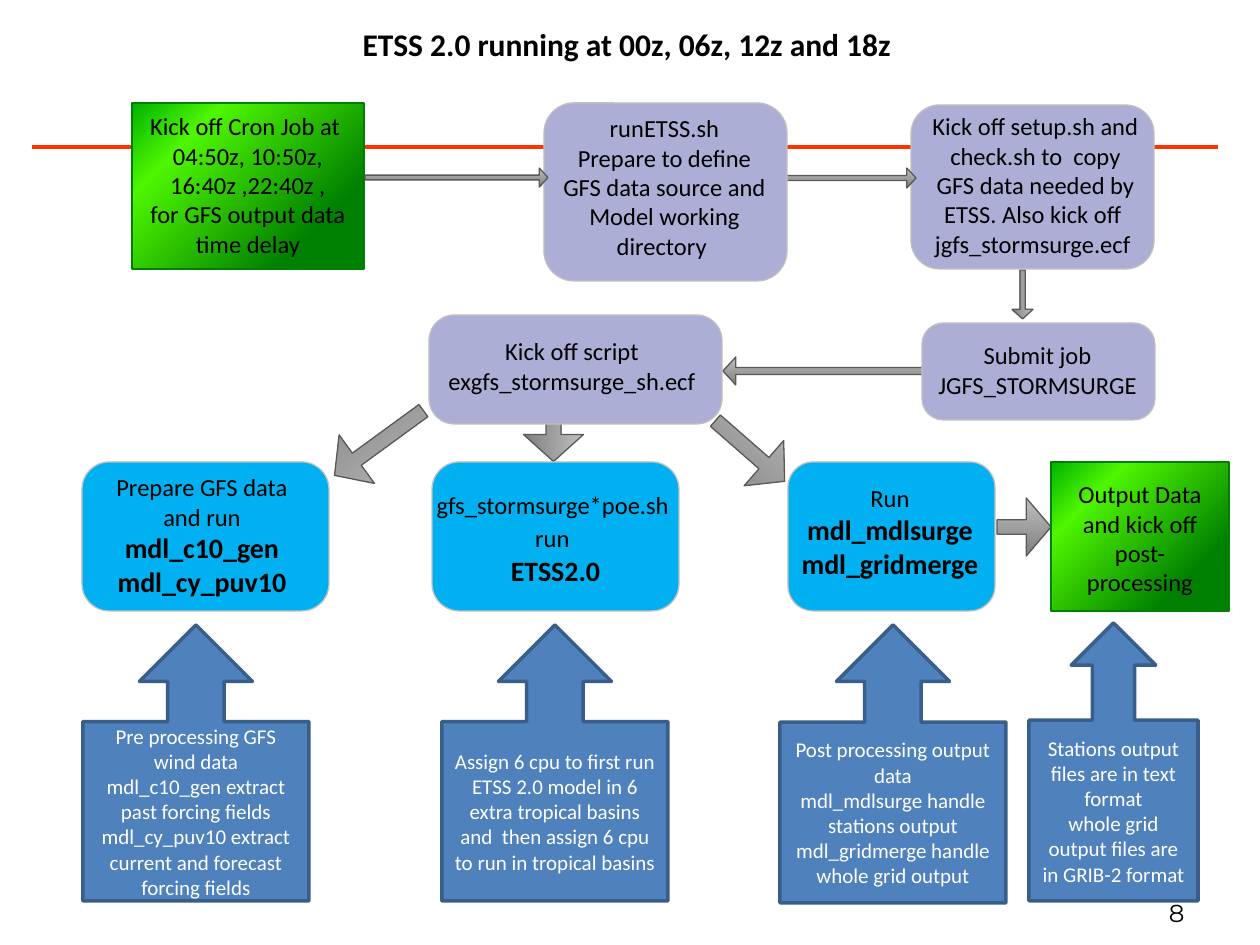
from lxml import etree
from pptx import Presentation
from pptx import util as u
from pptx.dml.color import RGBColor
from pptx.enum import shapes, text
from pptx.oxml.ns import qn

PX = 914400 / 126
COLORS = {
    "black": "000000", "white": "FFFFFF", "rule": "FF3300",
    "lilac": "ADAED6", "cyan": "00B0F0", "box_edge": "C0C0C0",
    "blue": "4F81BD", "blue_edge": "395E8A", "arrow_edge": "595959", "green_edge": "008000",
}
ARROW_GRADIENT = ([(0, "BFBFBF"), (100, "7F7F7F")], 270)
GREEN_GRADIENT = ([(0, "008000"), (22, "008000"), (77, "4FF600"), (100, "00B300")], 135)
KIND = shapes.MSO_SHAPE
CENTER, RIGHT = text.PP_ALIGN.CENTER, text.PP_ALIGN.RIGHT


def emu(*pixels):
    """Turn pixels into EMU."""
    return [u.Emu(round(p * PX)) for p in pixels]


def rgb(name):
    """Look up a palette colour."""
    return RGBColor.from_string(COLORS[name])


def set_values(target, values):
    """Set attributes from a dict of format values."""
    for key, value in values.items():
        setattr(target, key, value)


class FlowSlide:
    """Holds the style and the current slide."""

    frame_format = {"word_wrap": True, "auto_size": text.MSO_AUTO_SIZE.NONE}

    def __init__(self, slide):
        """Start drawing on a slide."""
        self.slide = slide

    def fill_text(self, frame, paragraphs, size=14, color="black", font="Calibri",
                  align=CENTER, anchor=text.MSO_ANCHOR.TOP, bold=False):
        """Fill a frame; a paragraph is a string or a list of (text, size, bold)."""
        set_values(frame, {**self.frame_format, "vertical_anchor": anchor})
        for i, runs in enumerate(paragraphs):
            paragraph = frame.paragraphs[0] if i == 0 else frame.add_paragraph()
            paragraph.alignment = align
            if isinstance(runs, str):
                runs = [(runs, size, bold)]
            for words, points, weight in runs:
                run = paragraph.add_run()
                run.text = words
                set_values(run.font, {"name": font, "size": u.Pt(points), "bold": weight})
                run.font.color.rgb = rgb(color)

    def title(self, at, words):
        """Place and format the title placeholder."""
        heading = self.slide.shapes.title
        set_values(heading, dict(zip(("left", "top", "width", "height"), emu(*at))))
        self.fill_text(heading.text_frame, [words], size=18, bold=True)

    def label(self, at, paragraphs, **style):
        """Add a text box."""
        self.fill_text(self.slide.shapes.add_textbox(*emu(*at)).text_frame, paragraphs, **style)

    def rule(self, x1, x2, y):
        """Add the horizontal rule."""
        line = self.slide.shapes.add_connector(
            shapes.MSO_CONNECTOR.STRAIGHT, *emu(x1, y, x2, y))
        line.line.color.rgb = rgb("rule")
        line.line.width = u.Pt(2)
        etree.SubElement(line._element.spPr, qn("a:effectLst"))

    def shape(self, kind, at, fill, edge, weight=0.75, adjust=(), rotation=0):
        """Add a preset shape with a solid or gradient fill."""
        item = self.slide.shapes.add_shape(kind, *emu(*at))
        item.shadow.inherit = False
        item.rotation = rotation
        for i, value in enumerate(adjust):
            item.adjustments[i] = value
        if isinstance(fill, str):
            item.fill.solid()
            item.fill.fore_color.rgb = rgb(fill)
        else:
            self.gradient(item, *fill)
        item.line.color.rgb = rgb(edge)
        item.line.width = u.Pt(weight)
        return item

    def gradient(self, item, stops, angle):
        """Give a shape a linear gradient with any number of stops."""
        item.fill.gradient()
        item.fill.gradient_angle = angle
        stop_list = item._element.spPr.find(qn("a:gradFill")).find(qn("a:gsLst"))
        for old in list(stop_list):
            stop_list.remove(old)
        for percent, color in stops:
            stop = etree.SubElement(stop_list, qn("a:gs"), pos=str(percent * 1000))
            etree.SubElement(stop, qn("a:srgbClr"), val=color)

    def arrow(self, at, rotation=0, kind=KIND.RIGHT_ARROW):
        """Add a grey block arrow."""
        self.shape(kind, at, ARROW_GRADIENT, "arrow_edge",
                   adjust=(0.25, 0.458), rotation=rotation)

    def step(self, at, fill, label_at, paragraphs):
        """Add a rounded step and its label."""
        width, height = at[2:]
        radius = (0.1 * width + 0.2 * height) / 2
        self.shape(KIND.ROUNDED_RECTANGLE, at, fill, "box_edge",
                   adjust=(radius / min(width, height),))
        self.label(label_at, paragraphs)

    def terminal(self, at, label_at, paragraphs):
        """Add a green start or end block and its label."""
        self.shape(KIND.RECTANGLE, at, GREEN_GRADIENT, "green_edge", weight=1)
        self.label(label_at, paragraphs)

    def callout(self, at, paragraphs):
        """Add a blue note that points up."""
        note = self.shape(KIND.UP_ARROW_CALLOUT, at, "blue", "blue_edge", weight=2,
                          adjust=(0.25, 0.25, 0.25, 0.65))
        self.fill_text(note.text_frame, paragraphs, size=12, color="white",
                       anchor=text.MSO_ANCHOR.MIDDLE)


ARROWS_BEHIND = [
    ((524, 402, 59, 60), 90), ((997, 498, 54, 58), 0),
    ((998, 284, 49, 21), 90),
]
ARROWS_IN_FRONT = [
    ((723, 168, 193, 20), 0), ((365, 168, 183, 19), 0),
    ((704, 421, 92, 60), 41.2), ((324, 413, 110, 60), 143.9),
]
STEPS = [
    ((911, 105, 243, 164), "lilac", (917, 105, 237, 161),
     ["Kick off setup.sh and check.sh to  copy GFS data needed by ETSS. "
      "Also kick off  jgfs_stormsurge.ecf "]),
    ((922, 323, 233, 97), "lilac", (921, 334, 233, 72), ["Submit job JGFS_STORMSURGE"]),
    ((429, 315, 293, 109), "lilac", (426, 330, 292, 72),
     ["Kick off script exgfs_stormsurge_sh.ecf"]),
    ((82, 462, 247, 149), "cyan", (84, 466, 236, 140),
     [[("Prepare GFS data and run ", 14, False), ("mdl_c10_gen mdl_cy_puv10", 16, True)]]),
    ((432, 462, 247, 149), "cyan", (420, 484, 271, 111),
     [[("gfs_stormsurge*poe.sh  run", 14, False), (" ", 16, True)], [("ETSS2.0", 16, True)]]),
    ((788, 462, 207, 149), "cyan", (781, 473, 218, 115),
     [[("Run", 14, False), (" ", 16, False), ("mdl_mdlsurge", 16, True)],
      [("mdl_gridmerge", 16, True)]]),
]
PREPARE_STEP = (
    (544, 103, 243, 178), "lilac", (546, 107, 237, 165),
    ["runETSS.sh", "Prepare to define GFS data source and Model working directory "])
TERMINALS = [
    ((132, 103, 232, 166), (134, 105, 228, 161),
     ["Kick off Cron Job at ", "04:50z, 10:50z, 16:40z ,22:40z ,",
      "for GFS output data time delay"]),
    ((1051, 462, 178, 149), (1051, 473, 178, 131),
     ["Output Data and kick off post-processing"]),
]
CALLOUTS = [
    ((83, 625, 226, 276),
     ["Pre processing GFS wind data", "mdl_c10_gen extract past forcing fields",
      "mdl_cy_puv10 extract current and forecast forcing fields"]),
    ((442, 625, 226, 276),
     ["Assign 6 cpu to first run ETSS 2.0 model in 6 extra tropical basins "
      "and  then assign 6 cpu to run in tropical basins "]),
    ((780, 625, 226, 278),
     ["Post processing output data", "mdl_mdlsurge handle stations output",
      "mdl_gridmerge handle whole grid output"]),
    ((1029, 623, 169, 278),
     ["Stations output files are in text format",
      "whole grid output files are in GRIB-2 format"]),
]


def main():
    """Build the slide and save it."""
    deck = Presentation()
    deck.slide_width, deck.slide_height = emu(1260, 945)
    flow = FlowSlide(deck.slides.add_slide(deck.slide_layouts[5]))
    flow.title((312, 19, 630, 50), "ETSS 2.0 running at 00z, 06z, 12z and 18z")
    flow.rule(32, 1218, 147)
    flow.label((903, 892, 294, 34), ["8"], font="Montserrat", align=RIGHT)
    for place, turn in ARROWS_BEHIND:
        flow.arrow(place, turn)
    flow.arrow((723, 357, 202, 28), kind=KIND.LEFT_ARROW)
    for step in STEPS:
        flow.step(*step)
    for terminal in TERMINALS:
        flow.terminal(*terminal)
    for place, turn in ARROWS_IN_FRONT[:1]:
        flow.arrow(place, turn)
    flow.step(*PREPARE_STEP)
    for place, turn in ARROWS_IN_FRONT[1:]:
        flow.arrow(place, turn)
    for callout in CALLOUTS:
        flow.callout(*callout)
    deck.save("out.pptx")


main()
